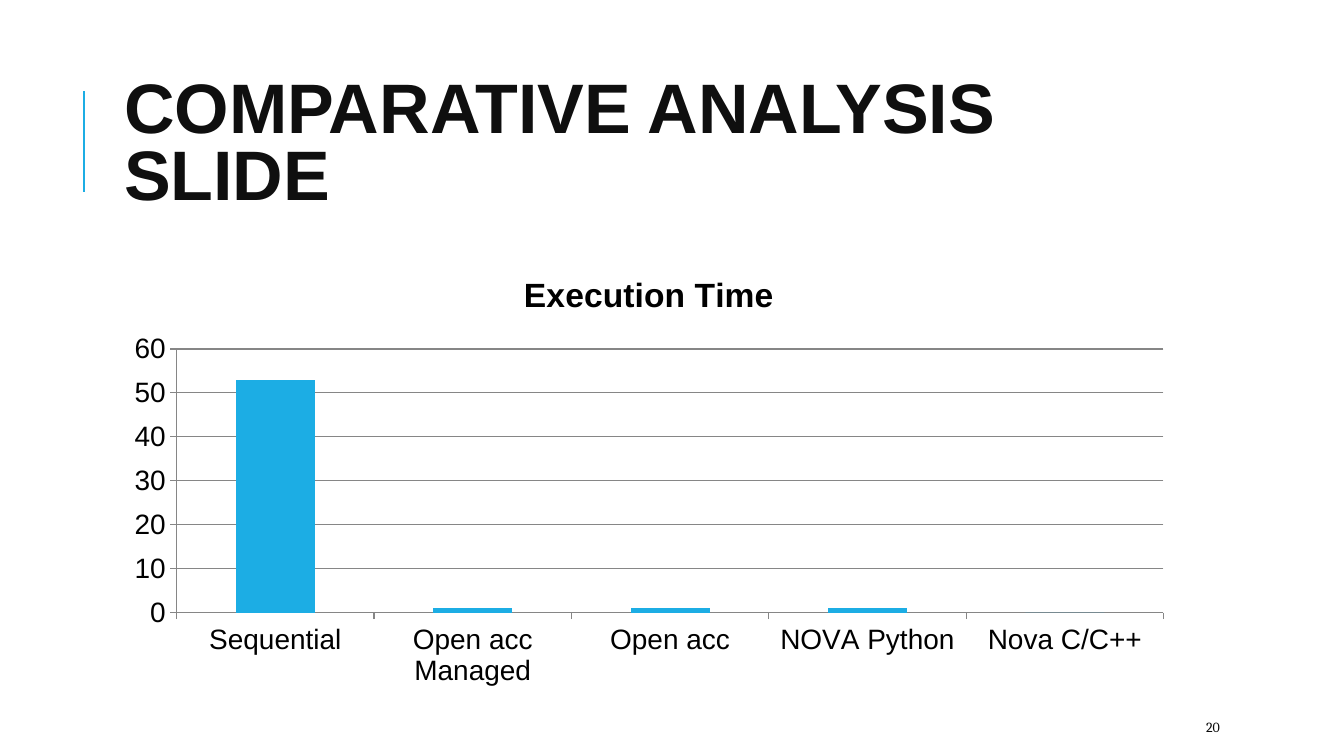
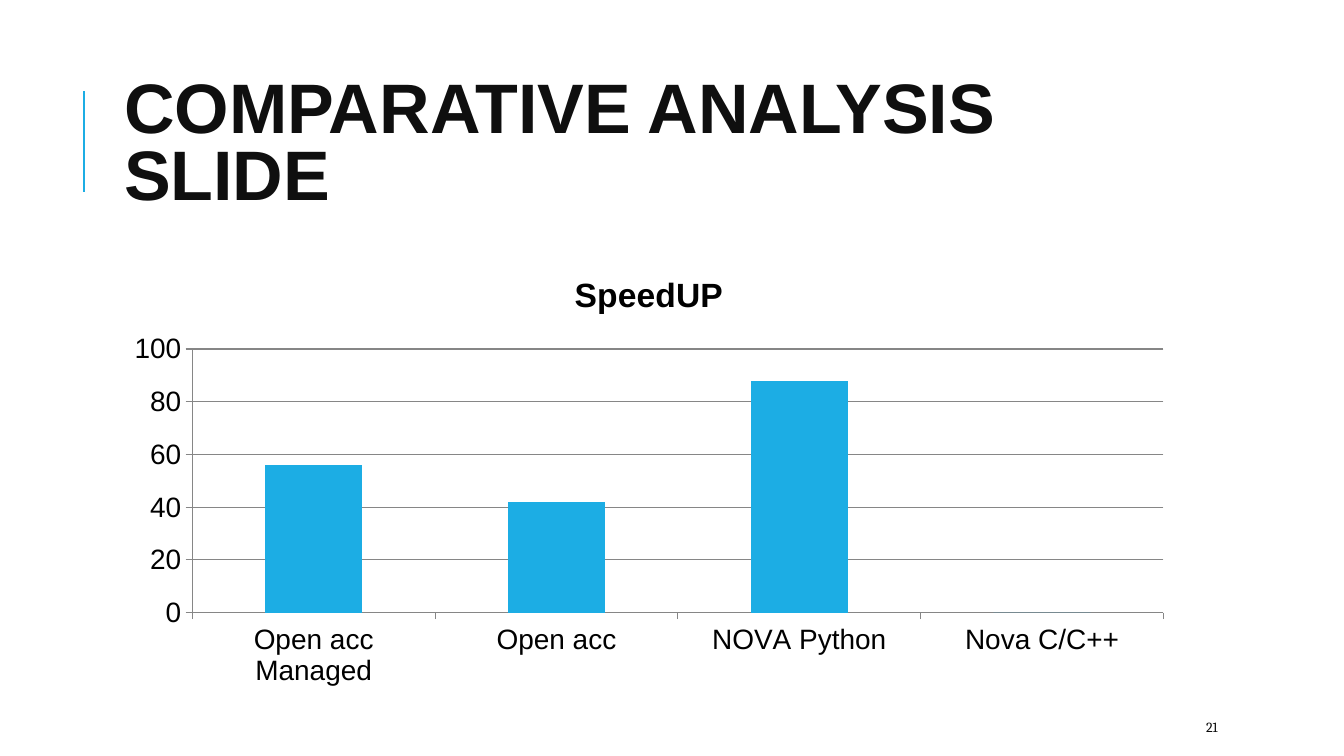
from lxml.etree import SubElement as add_element
from pptx import Presentation
from pptx.chart.data import CategoryChartData as ChartData
from pptx.dml.color import RGBColor
from pptx.enum.chart import XL_CHART_TYPE as ChartType, XL_TICK_MARK as Tick
from pptx.enum.shapes import MSO_CONNECTOR as Connector
from pptx.enum.text import MSO_ANCHOR as Anchor
from pptx.oxml.ns import qn
from pptx.util import Inches, Pt

ACCENT, TITLE_INK, NUMBER_INK = "1CADE4", "0F0F0F", "0C0C0C"
CHART_INK, GRID = "000000", "868686"
HEADING, NUMBERING = "Arial", "Cambria"
LEFT, WIDTH = 1.01, 9.57

CHARTS = [
    ("Execution Time", {"Sequential": 53, "Open acc Managed": 1, "Open acc": 1,
                        "NOVA Python": 1, "Nova C/C++": 0}),
    ("SpeedUP", {"Open acc Managed": 56, "Open acc": 42,
                 "NOVA Python": 88, "Nova C/C++": 0}),
]


def color(value):
    """Turn a hex string into a colour."""
    return RGBColor.from_string(value)


class Slides:
    """Hold the deck, its style and the current page."""

    def __init__(self):
        """Start an empty deck."""
        self.deck = Presentation()
        self.deck.slide_width, self.deck.slide_height = Inches(12), Inches(6.75)
        self.page = None

    def style(self, font, name, size, ink, bold=False):
        """Set the name, size, colour and weight of a font."""
        font.name, font.size, font.bold = name, Pt(size), bold
        font.color.rgb = color(ink)

    def text(self, words, place, name, size, ink, bold=False, spacing=1.0):
        """Add a vertically centred text box."""
        box = self.page.shapes.add_textbox(*map(Inches, place))
        frame = box.text_frame
        frame.word_wrap = True
        frame.vertical_anchor = Anchor.MIDDLE
        para = frame.paragraphs[0]
        para.line_spacing = spacing
        span = para.add_run()
        span.text = words
        self.style(span.font, name, size, ink, bold)

    def rule(self, x, top, bottom):
        """Add the vertical accent line."""
        line = self.page.shapes.add_connector(
            Connector.STRAIGHT, Inches(x), Inches(bottom), Inches(x), Inches(top))
        line.line.color.rgb = color(ACCENT)
        line.line.width = Pt(1.5)
        add_element(line._element.spPr, qn("a:effectLst"))

    def start(self, title, number):
        """Open a page with its accent line, title and number."""
        self.page = self.deck.slides.add_slide(self.deck.slide_layouts[6])
        self.rule(0.75, 0.81, 1.71)
        self.text(title, (LEFT, 0.57, WIDTH, 1.48), HEADING, 45, TITLE_INK,
                  bold=True, spacing=0.8)
        self.text(str(number), (10.67, 6.36, 0.96, 0.27), NUMBERING, 9, NUMBER_INK)

    def columns(self, name, values):
        """Add a titled column chart of one series."""
        data = ChartData()
        data.categories = list(values)
        data.add_series(name, list(values.values()))
        chart = self.page.shapes.add_chart(
            ChartType.COLUMN_CLUSTERED, Inches(LEFT), Inches(2.25),
            Inches(WIDTH), Inches(3.96), data).chart
        self.style(chart.font, HEADING, 18, CHART_INK)
        chart.has_legend = False
        chart.has_title = True
        span = chart.chart_title.text_frame.paragraphs[0].add_run()
        span.text = name
        self.style(span.font, HEADING, 21.6, CHART_INK, bold=True)
        plot = chart.plots[0]
        plot.gap_width, plot.vary_by_categories = 150, False
        fill = plot.series[0].format.fill
        fill.solid()
        fill.fore_color.rgb = color(ACCENT)
        for axis in (chart.category_axis, chart.value_axis):
            axis.major_tick_mark, axis.minor_tick_mark = Tick.OUTSIDE, Tick.NONE
            self.thin(axis.format.line)
        chart.value_axis.has_major_gridlines = True
        self.thin(chart.value_axis.major_gridlines.format.line)

    def thin(self, line):
        """Give a chart line the grid colour and width."""
        line.color.rgb = color(GRID)
        line.width = Pt(0.75)


def main():
    """Build one page for each chart."""
    slides = Slides()
    for number, (name, values) in enumerate(CHARTS, start=20):
        slides.start("COMPARATIVE ANALYSIS SLIDE", number)
        slides.columns(name, values)
    slides.deck.save("out.pptx")


if __name__ == "__main__":
    main()
